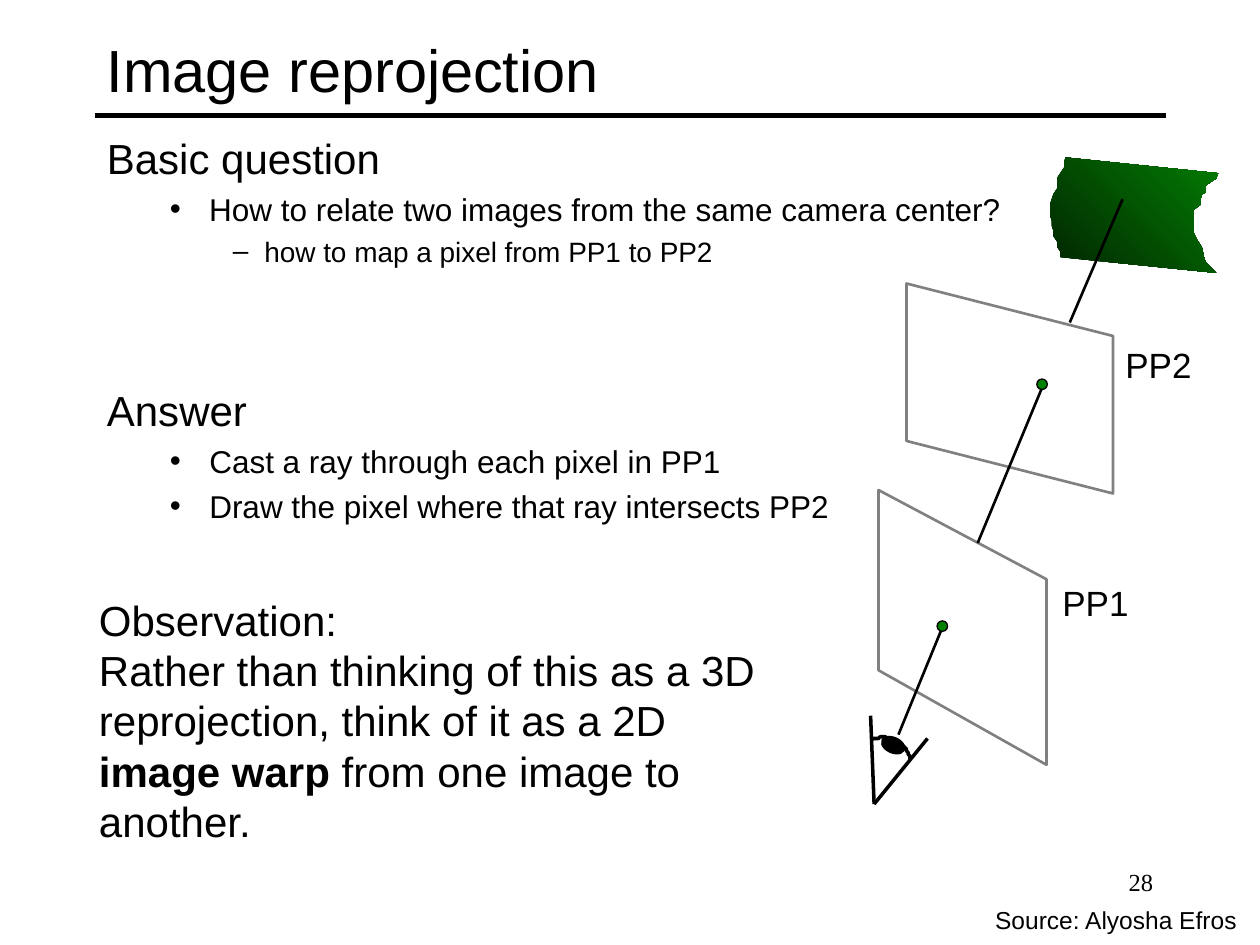
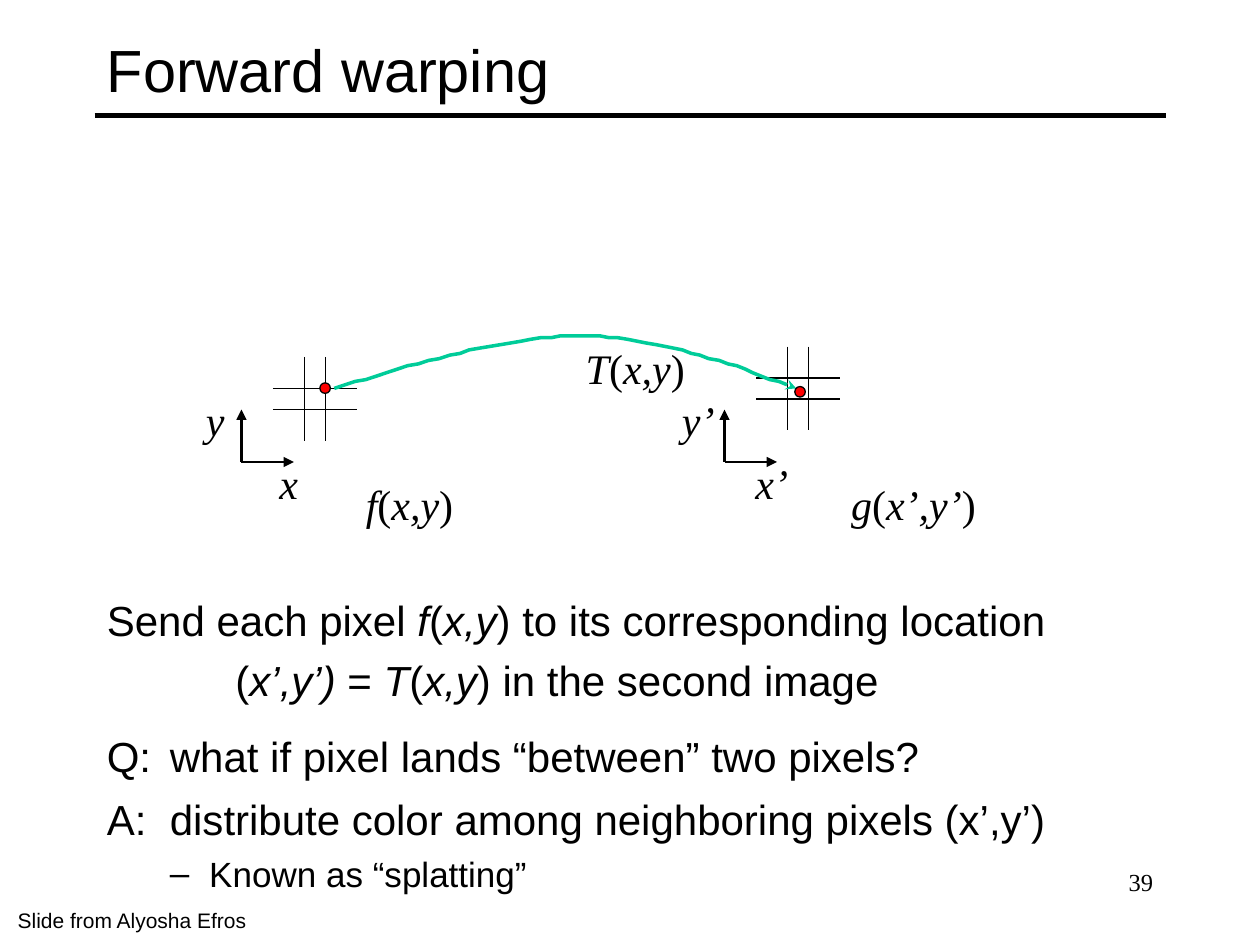
from itertools import chain

from lxml.etree import SubElement
from pptx import Presentation
from pptx.dml.color import RGBColor
from pptx.enum.shapes import MSO_CONNECTOR, MSO_SHAPE
from pptx.enum.text import MSO_ANCHOR, PP_ALIGN
from pptx.oxml.ns import qn
from pptx.util import Pt

BLACK, WHITE, GRAY = "000000", "FFFFFF", "808080"
GREEN, RED, TEAL = "008000", "FF0000", "00CC99"
ARIAL = {"name": "Arial", "size": Pt(24)}
TIMES = {"name": "Times New Roman", "size": Pt(24)}
HEAD, ITEM, DASH = (0, 0, ""), (58.5, -22.5, "•"), (90, -18, "–")
SUB = (58.5, -22.5, "–")
LEFT, WIDE = 54, 612


def hue(code):
    return RGBColor.from_string(code)


def apply(item, values):
    for key, value in values.items():
        setattr(item, key, value)


def add_arrow(line, kind):
    SubElement(line._get_or_add_ln(), qn("a:tailEnd"), type=kind)


def paint(shape, fill=None, edge=None, width=1.0):
    shape.shadow.inherit = False
    if fill:
        shape.fill.solid()
        shape.fill.fore_color.rgb = hue(fill)
    else:
        shape.fill.background()
    if edge:
        shape.line.color.rgb = hue(edge)
        shape.line.width = Pt(width)
    else:
        shape.line.fill.background()


def add_line(slide, start, end, width, arrow=None):
    ends = [Pt(n) for n in (*start, *end)]
    link = slide.shapes.add_connector(MSO_CONNECTOR.STRAIGHT, *ends)
    link.line.color.rgb = hue(BLACK)
    link.line.width = Pt(width)
    if arrow:
        add_arrow(link.line, arrow)
    SubElement(link._element.spPr, qn("a:effectLst"))


def add_path(slide, points, close=True, **style):
    pen = slide.shapes.build_freeform(*points[0], scale=Pt(1))
    pen.add_line_segments(points[1:], close=close)
    shape = pen.convert_to_shape()
    paint(shape, **style)
    return shape


def add_dot(slide, x, y, fill, wide=6, high=6, width=0.75):
    box = [Pt(n) for n in (x - wide / 2, y - high / 2, wide, high)]
    dot = slide.shapes.add_shape(MSO_SHAPE.OVAL, *box)
    paint(dot, fill, BLACK, width)
    return dot


def bend(a, b, c, d, steps=24):
    def blend(t, axis):
        s = 1 - t
        return (s**3 * a[axis] + 3 * s * s * t * b[axis]
                + 3 * s * t * t * c[axis] + t**3 * d[axis])
    return [(blend(n / steps, 0), blend(n / steps, 1)) for n in range(steps + 1)]


def add_runs(para, text, font, mark):
    for n, part in enumerate(text.split("*")):
        if part:
            run = para.add_run()
            run.text = part
            apply(run.font, {**font, mark: n % 2 == 1})
            run.font.color.rgb = hue(BLACK)


def add_text(slide, box, text, font=ARIAL, mark="italic", align=PP_ALIGN.LEFT,
             anchor=MSO_ANCHOR.TOP, wrap=True):
    frame = slide.shapes.add_textbox(*[Pt(n) for n in box]).text_frame
    apply(frame, {"word_wrap": wrap, "vertical_anchor": anchor})
    for n, line in enumerate(text.split("\n")):
        para = frame.paragraphs[0] if n == 0 else frame.add_paragraph()
        para.alignment = align
        add_runs(para, line, font, mark)


def add_list(slide, box, rows, tab=None):
    frame = slide.shapes.add_textbox(*[Pt(n) for n in box]).text_frame
    frame.word_wrap = True
    for n, (text, size, (margin, indent, sign)) in enumerate(rows):
        para = frame.paragraphs[0] if n == 0 else frame.add_paragraph()
        props = para._p.get_or_add_pPr()
        props.set("marL", str(Pt(margin)))
        props.set("indent", str(Pt(indent)))
        if sign:
            SubElement(props, qn("a:buFont"), typeface="Arial")
            SubElement(props, qn("a:buChar"), char=sign)
        if tab and "\t" in text:
            tabs = SubElement(props, qn("a:tabLst"))
            SubElement(tabs, qn("a:tab"), pos=str(Pt(tab)), algn="l")
        if n:
            para.space_before = Pt(round(size * 0.23, 1))
        add_runs(para, text, {**ARIAL, "size": Pt(size)}, "italic")


def add_frame(deck, title, number):
    slide = deck.slides.add_slide(deck.slide_layouts[6])
    add_line(slide, (LEFT, 66), (LEFT + WIDE, 66), 3)
    add_text(slide, (LEFT, 6, WIDE, 66), title, {**ARIAL, "size": Pt(34)},
             anchor=MSO_ANCHOR.MIDDLE)
    add_text(slide, (516, 492, 150, 36), number, {**TIMES, "size": Pt(14)},
             align=PP_ALIGN.RIGHT)
    return slide


def draw_patch(slide, at):
    left = [113, 112, 112, 109.5, 108, 108, 108, 106.5, 105, 104,
            104, 104, 105, 105, 106.5, 106.5, 108, 108, 109.5, 110]
    right = [(199, 66), (193, 60), (191.5, 57), (191, 52.5), (189.5, 49.5),
             (188, 47), (186.5, 43), (186.5, 30), (189.5, 27), (189.5, 24),
             (191, 21), (193, 19.5), (193, 16.5), (196, 13.5), (199, 12), (200, 9)]
    edge = chain(((x, 3 * n) for n, x in enumerate(left)), right)
    patch = add_path(slide, [at(*spot) for spot in edge])
    patch.fill.gradient()
    patch.fill.gradient_angle = 45
    for stop, code in zip(patch.fill.gradient_stops, ("012501", "037C03")):
        stop.color.rgb = hue(code)


def draw_eye(slide, at):
    tip = at(3.5, 369.5)
    lid = bend(at(2.2, 332.6), at(11, 329), at(21, 333.4), at(24.5, 343.5))
    add_path(slide, [tip, *lid], fill=WHITE)
    add_path(slide, lid, close=False, edge=BLACK, width=2)
    add_line(slide, at(1.5, 319), tip, 2)
    pupil = add_dot(slide, *at(14.4, 335.8), BLACK, 8.6, 13.7, 1)
    pupil.rotation = 294
    add_line(slide, tip, at(34, 332), 2)


def draw_scene(slide, left, top):
    def at(x, y):
        return left + x, top + y

    draw_patch(slide, at)
    planes = [
        ("PP2", (140, 103), [(140, 102), (22.5, 72), (22.5, 162), (140, 192)]),
        ("PP1", (104, 239), [(6.5, 293), (102.5, 347), (102.5, 241), (6.5, 190)]),
    ]
    for name, spot, plane in planes:
        add_path(slide, [at(*p) for p in plane], fill=WHITE, edge=GRAY, width=1.5)
        add_text(slide, (*at(*spot), 52.5, 31), name,
                 {**ARIAL, "size": Pt(20)}, wrap=False)
    draw_eye(slide, at)
    rays = [((115.3, 94.3), (145.5, 23.8)), ((62.7, 220.3), (100, 130.3)),
            ((17.4, 329.8), (42.5, 268.5))]
    for start, end in rays:
        add_line(slide, at(*start), at(*end), 1.5)
    for spot in ((99.5, 129.6), (42.5, 267.8)):
        add_dot(slide, *at(*spot), GREEN)


def draw_grid(slide, left, top):
    for gap in (18, 30):
        add_line(slide, (left + gap, top), (left + gap, top + 48), 0.75)
        add_line(slide, (left, top + gap), (left + 48, top + gap), 0.75)


def draw_view(slide, left, top, rise, prime, name, wide):
    x, y = left + 42, top + 66
    draw_grid(slide, left + 60, top + rise)
    for end in ((x, y - 30), (x + 30, y)):
        add_line(slide, (x, y), end, 1.5, "triangle")
    labels = [((left, top + 24, 54, 36), f"*y{prime}*"),
              ((x, top + 60, 54, 36), f"*x{prime}*"),
              ((left + 96, top + 72, wide, 36), name)]
    for box, text in labels:
        add_text(slide, box, text, TIMES, align=PP_ALIGN.CENTER)


def draw_warp(slide, left, top):
    draw_view(slide, left, top, 6, "", "*f*(*x,y*)", 84)
    draw_view(slide, left + 276, top, 0, "’", "*g*(*x’,y’*)", 108)
    start, end = (left + 95, top + 24), (left + 359, top + 24)
    arc = bend(start, (left + 143, top + 9.5), (left + 191, top - 6),
               (left + 235.5, top - 6))
    arc += bend(arc[-1], (left + 280, top - 6), (left + 320, top + 9.5), end)[1:]
    curve = add_path(slide, arc, close=False, edge=TEAL, width=2)
    add_arrow(curve.line, "stealth")
    add_text(slide, (left + 222, top - 6, 90, 36), "*T*(*x,y*)", TIMES,
             align=PP_ALIGN.CENTER)
    for x, y in ((89.8, 23.8), (361.2, 25.9)):
        add_dot(slide, left + x, top + y, RED)


def build_image(deck):
    slide = add_frame(deck, "Image reprojection", "28")
    add_list(slide, (LEFT, 72, WIDE, 414), [
        ("Basic question", 24, HEAD),
        ("How to relate two images from the same camera center?", 18, ITEM),
        ("how to map a pixel from PP1 to PP2", 16, DASH)])
    draw_scene(slide, 496, 90)
    add_list(slide, (LEFT, 216, 486, 96), [
        ("Answer", 24, HEAD),
        ("Cast a ray through each pixel in PP1", 18, ITEM),
        ("Draw the pixel where that ray intersects PP2", 18, ITEM)])
    add_text(slide, (49.5, 336, 391, 153),
             "Observation:\nRather than thinking of this as a 3D reprojection, "
             "think of it as a 2D *image warp* from one image to another.",
             mark="bold")
    add_text(slide, (561.6, 513.4, 158, 24), "Source: Alyosha Efros",
             {**ARIAL, "size": Pt(14)})


def build_warp(deck):
    slide = add_frame(deck, "Forward warping", "39")
    draw_warp(slide, 96, 198)
    add_list(slide, (LEFT, 336, WIDE, 72), [
        ("Send each pixel *f*(*x,y*) to its corresponding location", 24, HEAD),
        ("(*x’,y’) *= *T*(*x,y*) in the second image", 24, (73.5, 0, ""))])
    add_list(slide, (LEFT, 414, WIDE, 36), [
        ("Q:\twhat if pixel lands “between” two pixels?", 24, HEAD)], 38.9)
    add_list(slide, (LEFT, 450, WIDE, 72), [
        ("A:\tdistribute color among neighboring pixels (x’,y’)", 24, HEAD),
        ("Known as “splatting”", 20, SUB)], 36)
    add_text(slide, (3, 515, 193, 22), "Slide from Alyosha Efros",
             {**ARIAL, "size": Pt(12)})


def main():
    deck = Presentation()
    apply(deck, {"slide_width": Pt(720), "slide_height": Pt(540)})
    build_image(deck)
    build_warp(deck)
    deck.save("out.pptx")


if __name__ == "__main__":
    main()
